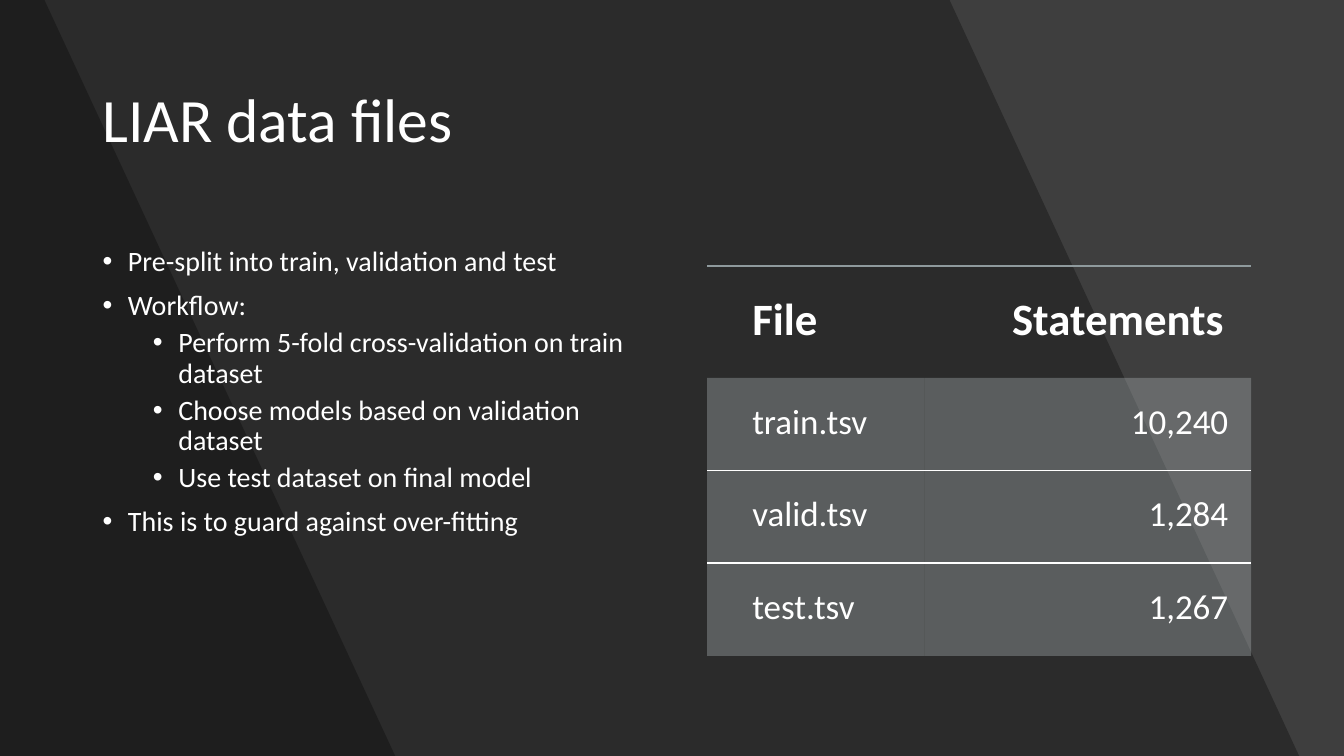
from dataclasses import dataclass

from lxml import etree
from pptx import Presentation
from pptx.dml.color import RGBColor
from pptx.enum.shapes import MSO_SHAPE
from pptx.enum.text import MSO_ANCHOR, MSO_AUTO_SIZE, PP_ALIGN
from pptx.oxml.ns import qn
from pptx.util import Cm, Pt

RECT = MSO_SHAPE.RECTANGLE
MIDDLE, TOP = MSO_ANCHOR.MIDDLE, MSO_ANCHOR.TOP
LEFT, RIGHT = PP_ALIGN.LEFT, PP_ALIGN.RIGHT
FIXED = MSO_AUTO_SIZE.NONE


@dataclass(frozen=True)
class Theme:
    font: str = "Calibri"
    back: str = "454545"
    shade: str = "000000"
    text: str = "FFFFFF"
    cell: str = "B4BCBE"
    rule: str = "8F9A9D"
    title: int = 44
    body: int = 20
    head: int = 32
    data: int = 25


THEME = Theme()
WIDE, HIGH = 33.87, 19.05
POINTS = [
    (0, "Pre-split into train, validation and test"),
    (0, "Workflow:"),
    (1, "Perform 5-fold cross-validation on train dataset"),
    (1, "Choose models based on validation dataset"),
    (1, "Use test dataset on final model"),
    (0, "This is to guard against over-fitting"),
]
FILES = [
    ("File", "Statements"),
    ("train.tsv", "10,240"),
    ("valid.tsv", "1,284"),
    ("test.tsv", "1,267"),
]


def write(para, text, size, bold=False, align=LEFT, space=None, before=0):
    para.alignment = align
    para.line_spacing = space
    para.space_before = Pt(before)
    run = para.add_run()
    run.text = text
    font = run.font
    font.name, font.size, font.bold = THEME.font, Pt(size), bold
    font.color.rgb = RGBColor.from_string(THEME.text)


def tint(fill, node, color, alpha):
    """Fill with a colour at the given percentage of opacity."""
    fill.solid()
    fill.fore_color.rgb = RGBColor.from_string(color)
    tone = next(node.iter(qn("a:srgbClr")))
    etree.SubElement(tone, qn("a:alpha"), val=str(alpha * 1000))


def place(item, box):
    item.left, item.top, item.width, item.height = map(Cm, box)


def draw_back(slide, box):
    """Shade the slide with a full veil and two slanted panels."""
    fill = slide.background.fill
    fill.solid()
    fill.fore_color.rgb = RGBColor.from_string(THEME.back)
    x, y, w, h = box
    veil = slide.shapes.add_shape(RECT, *map(Cm, box))
    layers = [(veil, 9)]
    for top, base in ((23.93, 32.74), (1.12, 9.96)):
        path = slide.shapes.build_freeform(Cm(x), Cm(y))
        edge = [(x + top, y), (x + base, y + h), (x, y + h)]
        path.add_line_segments([(Cm(a), Cm(b)) for a, b in edge])
        layers.append((path.convert_to_shape(), 30))
    for shape, alpha in layers:
        shape.shadow.inherit = False
        shape.line.fill.background()
        tint(shape.fill, shape.element.spPr, THEME.shade, alpha)
        slide.shapes.title.element.addprevious(shape.element)


def draw_title(slide, box):
    title = slide.shapes.title
    place(title, box)
    frame = title.text_frame
    frame.auto_size, frame.vertical_anchor = FIXED, MIDDLE
    write(frame.paragraphs[0], "LIAR data files", THEME.title, space=0.9)


def draw_list(slide, box):
    body = slide.placeholders[1]
    place(body, box)
    frame = body.text_frame
    frame.auto_size, frame.vertical_anchor = FIXED, TOP
    for i, (level, text) in enumerate(POINTS):
        para = frame.add_paragraph() if i else frame.paragraphs[0]
        para.level = level
        write(para, text, THEME.body, space=0.9, before=5 if level else 10)
        props = para._p.get_or_add_pPr()
        props.set("marL", str(Cm(0.64 + 1.27 * level)))
        props.set("indent", str(Cm(-0.64)))
        etree.SubElement(props, qn("a:buFont"), typeface="Arial")
        etree.SubElement(props, qn("a:buChar"), char="•")


def set_edges(cell, top, base):
    """Set the four borders; top and base are (colour, alpha) or None."""
    props = cell._tc.get_or_add_tcPr()
    edges = (("L", None), ("R", None), ("T", top), ("B", base))
    for i, (side, look) in enumerate(edges):
        line = etree.Element(qn("a:ln" + side), w=str(Pt(1.5)))
        if look:
            color, alpha = look
            fill = etree.SubElement(line, qn("a:solidFill"))
            tone = etree.SubElement(fill, qn("a:srgbClr"), val=color)
            etree.SubElement(tone, qn("a:alpha"), val=str(alpha * 1000))
        else:
            etree.SubElement(line, qn("a:noFill"))
        props.insert(i, line)


def draw_table(slide, box):
    x, y, w, h = box
    last = len(FILES) - 1
    frame = slide.shapes.add_table(len(FILES), 2, *map(Cm, box))
    table = frame.table
    table.first_row = table.horz_banding = False
    for col, part in zip(table.columns, (0.4, 0.6)):
        col.width = Cm(w * part)
    head = 2.82
    white = (THEME.text, 100)
    for r, values in enumerate(FILES):
        table.rows[r].height = Cm((h - head) / last if r else head)
        for c, text in enumerate(values):
            cell = table.cell(r, c)
            pad = Cm(0.58 if r else 0.69)
            cell.margin_left = Cm(1.14)
            cell.margin_top = cell.margin_right = cell.margin_bottom = pad
            write(cell.text_frame.paragraphs[0], text,
                  THEME.data if r else THEME.head,
                  bold=r == 0, align=RIGHT if c else LEFT)
            if r:
                tint(cell.fill, cell._tc.tcPr, THEME.cell, 35)
            else:
                cell.fill.background()
            top = white if r > 1 else None
            set_edges(cell, top if r else (THEME.rule, 60),
                      white if 0 < r < last else None)


def main():
    deck = Presentation()
    deck.slide_width, deck.slide_height = Cm(WIDE), Cm(HIGH)
    slide = deck.slides.add_slide(deck.slide_layouts[1])
    draw_back(slide, (0, 0, WIDE, HIGH))
    draw_title(slide, (2.32, 1.25, 29.23, 3.69))
    draw_list(slide, (2.33, 6.1, 13.7, 11.08))
    draw_table(slide, (17.82, 6.7, 13.71, 9.83))
    deck.save("out.pptx")


if __name__ == "__main__":
    main()
